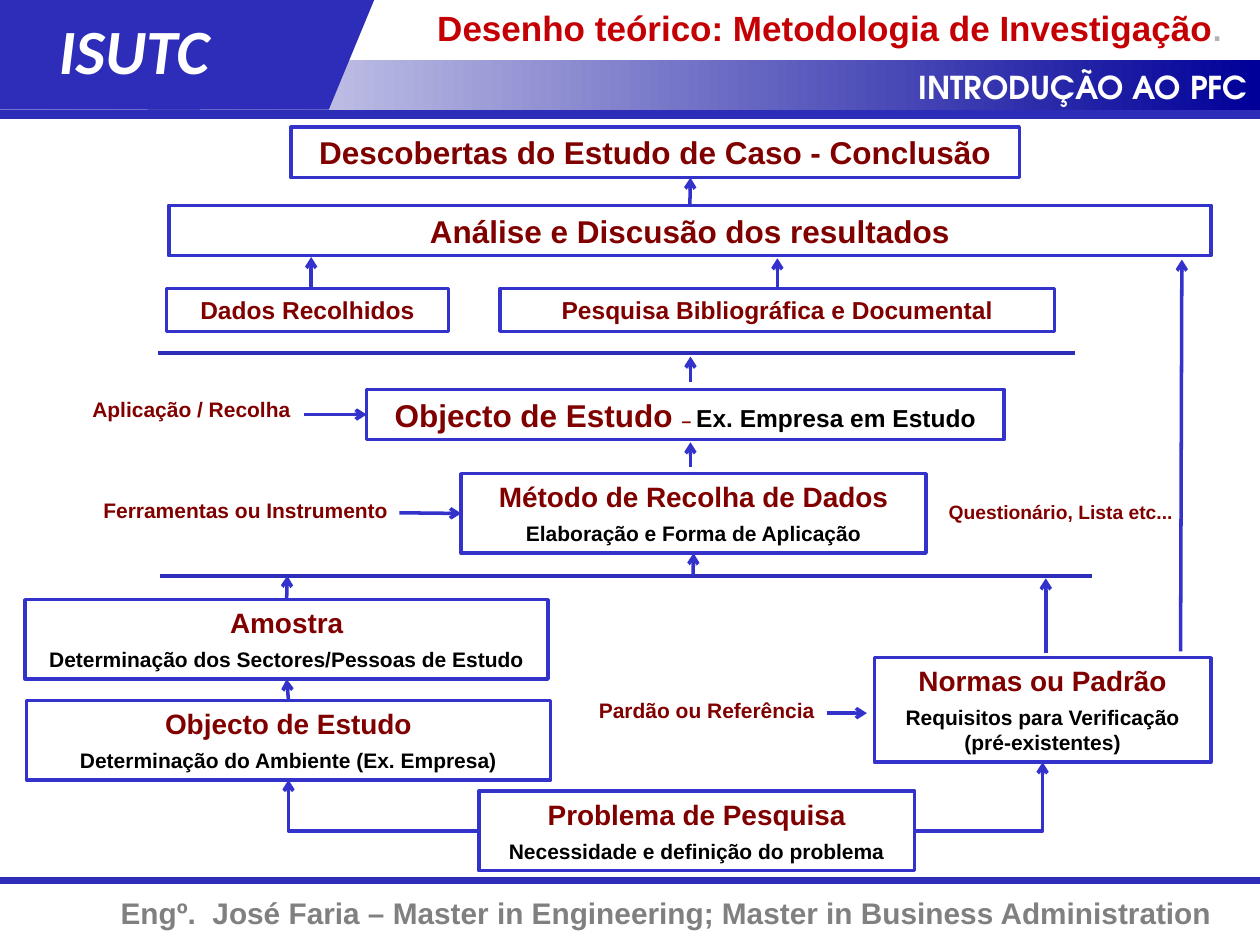
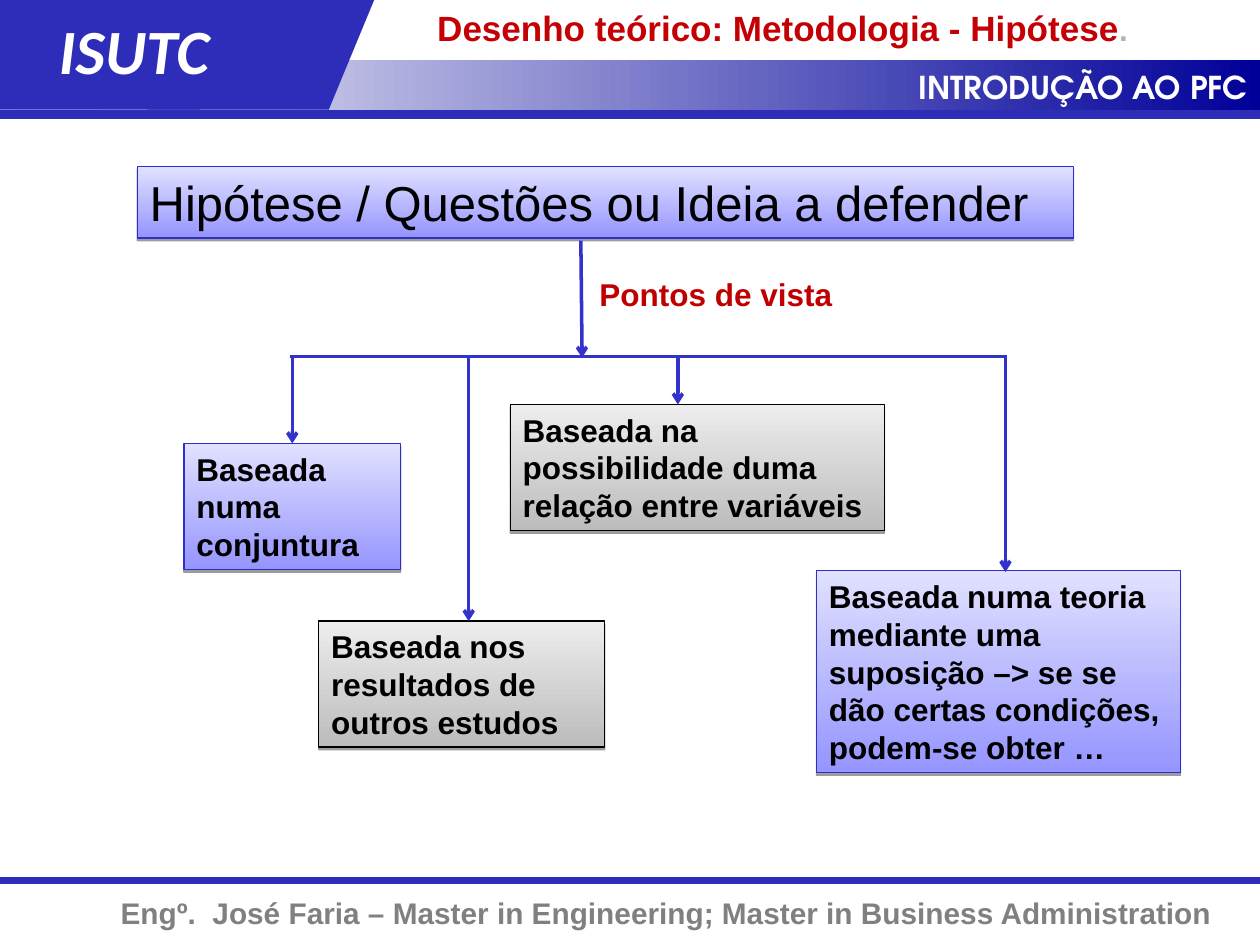
"""Build two slides on research methodology with a shared institutional frame."""
from dataclasses import dataclass
from typing import Optional

from lxml.etree import SubElement
from pptx import Presentation
from pptx.dml.color import RGBColor
from pptx.enum.shapes import MSO_CONNECTOR as Route, MSO_SHAPE as Preset
from pptx.enum.text import MSO_ANCHOR as Anchor, PP_ALIGN as Align
from pptx.oxml.ns import qn
from pptx.util import Inches, Pt

NAVY, BLUE, WHITE, BLACK = "2D2DB9", "3333CC", "FFFFFF", "000000"
MAROON, RED, GREY = "800000", "C40005", "808080"
TOP, LEFT, BOTTOM, RIGHT = range(4)
Point = tuple[float, float]
Area = tuple[float, float, float, float]


@dataclass(frozen=True)
class Span:
    text: str
    size: float
    color: str = BLACK
    bold: bool = True
    italic: bool = False
    font: str = "Arial"


@dataclass(frozen=True)
class Box:
    name: str
    at: Area
    paragraphs: list[list[Span]]
    line: str = BLUE


@dataclass(frozen=True)
class Panel:
    name: str
    at: Area
    span: Span
    gradient: tuple[str, str]
    line: str


@dataclass(frozen=True)
class Link:
    start: Point
    end: Point
    begin_at: Optional[tuple[str, int]] = None
    end_at: Optional[tuple[str, int]] = None
    route: Route = Route.STRAIGHT
    arrow: bool = True
    color: str = BLUE
    width: float = 2


LILAC, SILVER = ("E1E1FF", "9595FF"), ("EDEDED", "BCBCBC")


def rgb(color: str) -> RGBColor:
    return RGBColor.from_string(color)


def write(shape, paragraphs: list[list[Span]], align=Align.LEFT,
          before: float = 0, after: float = 0) -> None:
    frame = shape.text_frame
    frame.word_wrap = True
    frame.vertical_anchor = Anchor.TOP
    for index, spans in enumerate(paragraphs):
        para = frame.add_paragraph() if index else frame.paragraphs[0]
        para.alignment = align
        para.space_before = Pt(before if index else 0)
        para.space_after = Pt(after)
        for span in spans:
            run = para.add_run()
            run.text = span.text
            run.font.name = span.font
            run.font.size = Pt(span.size)
            run.font.bold = span.bold
            run.font.italic = span.italic
            run.font.color.rgb = rgb(span.color)


def place(shape, at: Area) -> None:
    shape.left, shape.top, shape.width, shape.height = map(Inches, at)


def add_text(slide, at: Area, span: Span, align=Align.LEFT) -> None:
    write(slide.shapes.add_textbox(*map(Inches, at)), [[span]], align)


def add_block(slide, at: Area, fill: str = WHITE, line: Optional[str] = None,
              width: float = 2, preset=Preset.RECTANGLE,
              gradient: Optional[tuple[str, str]] = None, angle: float = 0):
    shape = slide.shapes.add_shape(preset, *map(Inches, at))
    shape.shadow.inherit = False
    if gradient:
        shape.fill.gradient()
        shape.fill.gradient_angle = angle
        for stop, color in zip(shape.fill.gradient_stops, gradient):
            stop.color.rgb = rgb(color)
    else:
        shape.fill.solid()
        shape.fill.fore_color.rgb = rgb(fill)
    if line:
        shape.line.color.rgb = rgb(line)
        shape.line.width = Pt(width)
    else:
        shape.line.fill.background()
    return shape


def add_box(slide, box: Box):
    shape = add_block(slide, box.at, line=box.line)
    write(shape, box.paragraphs, Align.CENTER, before=2, after=2)
    return shape


def add_panel(slide, panel: Panel):
    shape = add_block(slide, panel.at, line=panel.line, width=0.75,
                      gradient=panel.gradient, angle=270)
    effects = shape._element.spPr.find(qn("a:effectLst"))
    shadow = SubElement(effects, qn("a:outerShdw"), blurRad="0",
                        dist=str(Pt(1.6)), dir="5400000", rotWithShape="0")
    tint = SubElement(shadow, qn("a:srgbClr"), val=BLACK)
    SubElement(tint, qn("a:alpha"), val="38000")
    write(shape, [[panel.span]])
    return shape


def add_link(slide, link: Link, shapes: dict) -> None:
    connector = slide.shapes.add_connector(
        link.route, *map(Inches, link.start + link.end))
    if link.begin_at:
        name, side = link.begin_at
        connector.begin_connect(shapes[name], side)
    if link.end_at:
        name, side = link.end_at
        connector.end_connect(shapes[name], side)
    connector.line.color.rgb = rgb(link.color)
    connector.line.width = Pt(link.width)
    properties = connector._element.spPr
    if link.route == Route.ELBOW:
        properties.find(qn("a:prstGeom")).set("prst", "bentConnector2")
    if link.arrow:
        SubElement(properties.find(qn("a:ln")), qn("a:tailEnd"), type="arrow")
    SubElement(properties, qn("a:effectLst"))


def add_framed_slide(deck, title: str):
    slide = deck.slides.add_slide(deck.slide_layouts[5])
    for y, width in ((6.99, 4), (0.9, 6)):
        add_link(slide, Link((0, y), (10, y), arrow=False, color=NAVY, width=width), {})
    add_block(slide, (0, 0.48, 10, 0.39), gradient=(WHITE, "000099"))
    add_block(slide, (1.17, 0, 1.8, 0.87), NAVY, preset=Preset.FLOWCHART_DATA)
    add_block(slide, (0, 0, 1.59, 0.87), NAVY)
    add_text(slide, (0, 7.05, 9.72, 0.39), Span(
        "Engº.  José Faria – Master in Engineering; Master in Business Administration",
        17, GREY), Align.RIGHT)
    add_text(slide, (4.36, 0.49, 5.64, 0.4),
             Span("INTRODUÇÃO AO PFC", 18, WHITE, font="TeX Gyre Adventor"), Align.RIGHT)
    add_text(slide, (0.37, 0.04, 1.93, 0.7),
             Span("ISUTC", 36, WHITE, italic=True, font="Calibri"))
    place(slide.shapes.title, (3.37, 0, 6.63, 0.44))
    write(slide.shapes.title, [[Span(title, 20, RED), Span(".", 18, "B2B2B2")]])
    return slide


def heading(text: str, size: float) -> list[list[Span]]:
    return [[Span(text, size, MAROON)]]


def step(text: str, detail: str) -> list[list[Span]]:
    return heading(text, 16) + [[Span(detail, 12)]]


STEPS = [
    Box("problem", (3.8, 6.28, 3.46, 0.63),
        step("Problema de Pesquisa", "Necessidade e definição do problema")),
    Box("sample", (0.2, 4.76, 4.15, 0.63),
        step("Amostra", "Determinação dos Sectores/Pessoas de Estudo")),
    Box("setting", (0.21, 5.56, 4.16, 0.63),
        step("Objecto de Estudo", "Determinação do Ambiente (Ex. Empresa)")),
    Box("standards", (6.94, 5.22, 2.67, 0.83),
        step("Normas ou Padrão", "Requisitos para Verificação (pré-existentes)")),
    Box("method", (3.66, 3.76, 3.69, 0.63),
        step("Método de Recolha de Dados", "Elaboração e Forma de Aplicação")),
    Box("object", (2.91, 3.09, 5.06, 0.4),
        [[Span("Objecto de Estudo ", 18, MAROON), Span("– ", 10, MAROON),
          Span("Ex. Empresa em Estudo", 14)]]),
    Box("data", (1.32, 2.29, 2.24, 0.34), heading("Dados Recolhidos", 14)),
    Box("literature", (3.97, 2.29, 4.4, 0.34),
        heading("Pesquisa Bibliográfica e Documental", 14)),
    Box("analysis", (1.34, 1.63, 8.27, 0.4),
        heading("Análise e Discusão dos resultados", 18)),
    Box("findings", (2.31, 1.01, 5.78, 0.4),
        heading("Descobertas do Estudo de Caso - Conclusão", 18)),
    Box("reference", (4.58, 5.49, 2.06, 0.3), heading("Pardão ou Referência", 12), WHITE),
    Box("tools", (0.61, 3.9, 2.68, 0.3), heading("Ferramentas ou Instrumento", 12), WHITE),
    Box("survey", (7.38, 3.92, 2.08, 0.29), heading("Questionário, Lista etc...", 11), WHITE),
    Box("application", (0.53, 3.1, 1.98, 0.3), heading("Aplicação / Recolha", 12), WHITE),
]

STEP_LINKS = [
    Link((1.27, 4.57), (8.67, 4.57), arrow=False, color=NAVY),
    Link((1.25, 2.8), (8.53, 2.8), arrow=False, color=NAVY),
    Link((3.8, 6.6), (2.29, 6.19), ("problem", LEFT), ("setting", BOTTOM), Route.ELBOW),
    Link((7.26, 6.6), (8.27, 6.05), ("problem", RIGHT), ("standards", BOTTOM), Route.ELBOW),
    Link((6.56, 5.66), (6.88, 5.66)),
    Link((3.17, 4.07), (3.66, 4.07), end_at=("method", LEFT)),
    Link((2.41, 3.29), (2.91, 3.29), end_at=("object", LEFT)),
    Link((8.3, 5.18), (8.3, 4.59)),
    Link((2.28, 4.76), (2.28, 4.57), begin_at=("sample", TOP)),
    Link((2.29, 5.56), (2.28, 5.39), ("setting", TOP), ("sample", BOTTOM)),
    Link((5.5, 4.57), (5.5, 4.39), end_at=("method", BOTTOM)),
    Link((5.48, 3.71), (5.48, 3.51)),
    Link((5.48, 3.03), (5.48, 2.83)),
    Link((2.47, 2.28), (2.47, 2.04)),
    Link((6.17, 2.29), (6.17, 2.05), begin_at=("literature", TOP)),
    Link((5.48, 1.63), (5.48, 1.41), begin_at=("analysis", TOP)),
    Link((9.37, 5.17), (9.38, 2.06)),
]

PANELS = [
    Panel("hypothesis", (1.09, 1.32, 7.43, 0.57),
          Span("Hipótese / Questões ou Ideia a defender", 28, bold=False), LILAC, "2E2ECB"),
    Panel("context", (1.46, 3.52, 1.72, 1),
          Span("Baseada numa conjuntura", 18), LILAC, "2E2ECB"),
    Panel("studies", (2.53, 4.93, 2.27, 1),
          Span("Baseada nos resultados de outros estudos", 18), SILVER, BLACK),
    Panel("variables", (4.05, 3.21, 2.97, 1),
          Span("Baseada na possibilidade duma relação entre variáveis", 18), SILVER, BLACK),
    Panel("theory", (6.48, 4.53, 2.89, 1.6),
          Span("Baseada numa teoria mediante uma suposição –> se se dão certas "
               "condições, podem-se obter …", 18), LILAC, "2E2ECB"),
]

PANEL_LINKS = [
    Link((4.61, 1.91), (4.62, 2.84)),
    Link((2.3, 2.83), (7.99, 2.83), arrow=False),
    Link((2.32, 2.83), (2.32, 3.52), end_at=("context", TOP)),
    Link((3.72, 2.82), (3.72, 4.93)),
    Link((5.38, 2.82), (5.38, 3.21)),
    Link((7.98, 2.82), (7.98, 4.54)),
]


def build_methodology(deck) -> None:
    slide = add_framed_slide(deck, "Desenho teórico: Metodologia de Investigação")
    shapes = {box.name: add_box(slide, box) for box in STEPS}
    for link in STEP_LINKS:
        add_link(slide, link, shapes)


def build_hypothesis(deck) -> None:
    slide = add_framed_slide(deck, "Desenho teórico: Metodologia - Hipótese")
    shapes = {panel.name: add_panel(slide, panel) for panel in PANELS}
    add_text(slide, (4.66, 2.13, 2.34, 0.4), Span("Pontos de vista", 18, "C00000"))
    for link in PANEL_LINKS:
        add_link(slide, link, shapes)


def main() -> None:
    deck = Presentation()
    deck.slide_width, deck.slide_height = Inches(10), Inches(7.5)
    build_methodology(deck)
    build_hypothesis(deck)
    deck.save("out.pptx")


if __name__ == "__main__":
    main()
